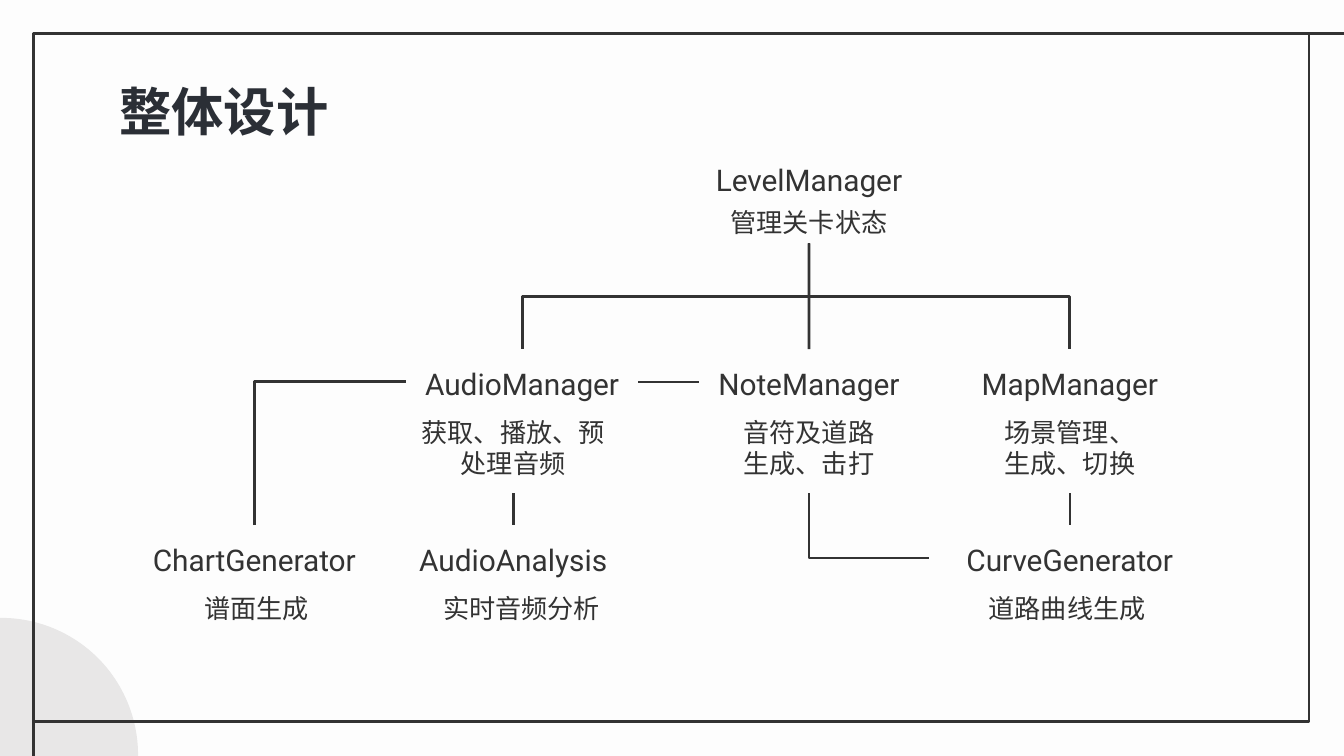
import pptx
import pptx.dml.color
import pptx.enum.shapes
import pptx.enum.text
import pptx.oxml.ns
import pptx.util
from lxml import etree

Cm = pptx.util.Cm
Pt = pptx.util.Pt
RGBColor = pptx.dml.color.RGBColor
MSO_SHAPE = pptx.enum.shapes.MSO_SHAPE
MSO_CONNECTOR = pptx.enum.shapes.MSO_CONNECTOR
MSO_ANCHOR = pptx.enum.text.MSO_ANCHOR
PP_ALIGN = pptx.enum.text.PP_ALIGN

BACKGROUND = RGBColor(0xFD, 0xFD, 0xFD)
INK = RGBColor(0x33, 0x33, 0x33)
TITLE_INK = RGBColor(0x2B, 0x2F, 0x36)
PALE = RGBColor(0xE8, 0xE7, 0xE7)

TOP, LEFT, BOTTOM, RIGHT = range(4)
WIDTH, HEIGHT = 25.4, 14.29

# key: name, description, centre x of each, width of each, name top, lines
MODULES = {
    "level": ("LevelManager", "管理关卡状态", 15.29, 15.29, 5.18, 3.56, 2.74, 1),
    "audio": ("AudioManager", "获取、播放、预处理音频", 9.87, 9.7, 4.39, 4.39, 6.6, 2),
    "note": ("NoteManager", "音符及道路生成、击打", 15.29, 15.29, 4.17, 3.33, 6.6, 2),
    "map": ("MapManager", "场景管理、生成、切换", 20.22, 20.22, 4.17, 3.33, 6.6, 2),
    "chart": ("ChartGenerator", "谱面生成", 4.81, 4.85, 4.7, 4.06, 9.93, 1),
    "analysis": ("AudioAnalysis", "实时音频分析", 9.7, 9.86, 4.39, 4.06, 9.93, 1),
    "curve": ("CurveGenerator", "道路曲线生成", 20.22, 20.17, 5.33, 4.06, 9.93, 1),
}


def write(sp, text, size, font, color=INK, bold=False, align=PP_ALIGN.CENTER,
          anchor=MSO_ANCHOR.TOP, spacing=None):
    tf = sp.text_frame
    tf.word_wrap = True
    tf.auto_size = pptx.enum.text.MSO_AUTO_SIZE.NONE
    tf.vertical_anchor = anchor
    tf.margin_left = tf.margin_right = tf.margin_top = tf.margin_bottom = Cm(0.25)
    p = tf.paragraphs[0]
    p.alignment = align
    if spacing:
        p.line_spacing = spacing
    r = p.add_run()
    r.text = text
    r.font.size = Pt(size)
    r.font.name = font
    r.font.bold = bold
    r.font.color.rgb = color


class Deck:
    def __init__(self):
        self.prs = pptx.Presentation()
        self.prs.slide_width, self.prs.slide_height = Cm(WIDTH), Cm(HEIGHT)
        self.s = self.prs.slides.add_slide(self.prs.slide_layouts[5])
        fill = self.s.background.fill
        fill.solid()
        fill.fore_color.rgb = BACKGROUND

    def outline(self, sp):
        sp.line.color.rgb = INK
        sp.line.width = Pt(1.5)

    def shape(self, kind, x, y, w, h, fill=None):
        sp = self.s.shapes.add_shape(kind, Cm(x), Cm(y), Cm(w), Cm(h))
        sp.shadow.inherit = False
        if fill is None:
            sp.fill.background()
            self.outline(sp)
        else:
            sp.fill.solid()
            sp.fill.fore_color.rgb = fill
            sp.line.fill.background()

    def title(self, text, x, y, w, h):
        sp = self.s.shapes.title
        sp.left, sp.top, sp.width, sp.height = Cm(x), Cm(y), Cm(w), Cm(h)
        write(sp, text, 28, "Lato", TITLE_INK, bold=True, align=PP_ALIGN.LEFT)

    def text(self, text, center, y, w, h, size, font, **style):
        sp = self.s.shapes.add_textbox(Cm(center - w / 2), Cm(y), Cm(w), Cm(h))
        write(sp, text, size, font, **style)
        return sp

    def module(self, name, about, name_x, about_x, name_w, about_w, y, lines):
        """Add a name with its description below; return both boxes."""
        head = self.text(name, name_x, y, name_w, 1.24, 16, "Roboto",
                         anchor=MSO_ANCHOR.BOTTOM, spacing=1.15)
        gap = 0.92 if name == "LevelManager" else 1.02
        body = self.text(about, about_x, y + gap, about_w, 0.94 if lines == 1 else 1.7,
                         14, "Arial")
        return head, body

    def line(self, x1=0, y1=0, x2=0, y2=0, kind=MSO_CONNECTOR.STRAIGHT):
        sp = self.s.shapes.add_connector(kind, Cm(x1), Cm(y1), Cm(x2), Cm(y2))
        self.outline(sp)
        etree.SubElement(sp._element.spPr, pptx.oxml.ns.qn("a:effectLst"))
        return sp

    def link(self, start, start_side, end, end_side, kind=MSO_CONNECTOR.STRAIGHT):
        sp = self.line(kind=kind)
        sp.begin_connect(start, start_side)
        sp.end_connect(end, end_side)
        return sp

    def elbow(self, start, start_side, end, end_side):
        """Link two boxes with a bent line that leaves the first one vertically."""
        sp = self.link(start, start_side, end, end_side, MSO_CONNECTOR.ELBOW)
        dx, dy = sp.end_x - sp.begin_x, sp.end_y - sp.begin_y
        mid_x, mid_y = sp.begin_x + dx // 2, sp.begin_y + dy // 2
        if end_side in (LEFT, RIGHT):
            geometry = sp._element.spPr.find(pptx.oxml.ns.qn("a:prstGeom"))
            geometry.set("prst", "bentConnector2")
        # A quarter turn swaps width and height around the same centre.
        sp.width, sp.height = abs(dy), abs(dx)
        sp.left, sp.top = mid_x - abs(dy) // 2, mid_y - abs(dx) // 2
        xfrm = sp._element.spPr.find(pptx.oxml.ns.qn("a:xfrm"))
        xfrm.set("rot", "5400000")
        xfrm.set("flipH", str(int(dy < 0)))
        xfrm.set("flipV", str(int(dx > 0)))


def main():
    deck = Deck()
    deck.shape(MSO_SHAPE.OVAL, -2.57, 11.68, 5.18, 5.18, PALE)
    deck.shape(MSO_SHAPE.RECTANGLE, 0.64, 0.64, 24.1, 13)
    deck.line(24.74, 0.64, WIDTH, 0.64)
    deck.line(0.64, 13.59, 0.64, HEIGHT)
    deck.title("整体设计", 2.01, 1.24, 21.41, 1.6)

    heads, bodies = {}, {}
    for key, module in MODULES.items():
        heads[key], bodies[key] = deck.module(*module)

    for key in ("audio", "map"):
        deck.elbow(bodies["level"], BOTTOM, heads[key], TOP)
    deck.elbow(heads["chart"], TOP, heads["audio"], LEFT)
    deck.elbow(bodies["note"], BOTTOM, heads["curve"], LEFT)
    deck.link(heads["audio"], RIGHT, heads["note"], LEFT)
    for upper, lower in (("level", "note"), ("audio", "analysis"), ("map", "curve")):
        deck.link(bodies[upper], BOTTOM, heads[lower], TOP)

    deck.prs.save("out.pptx")


if __name__ == "__main__":
    main()
